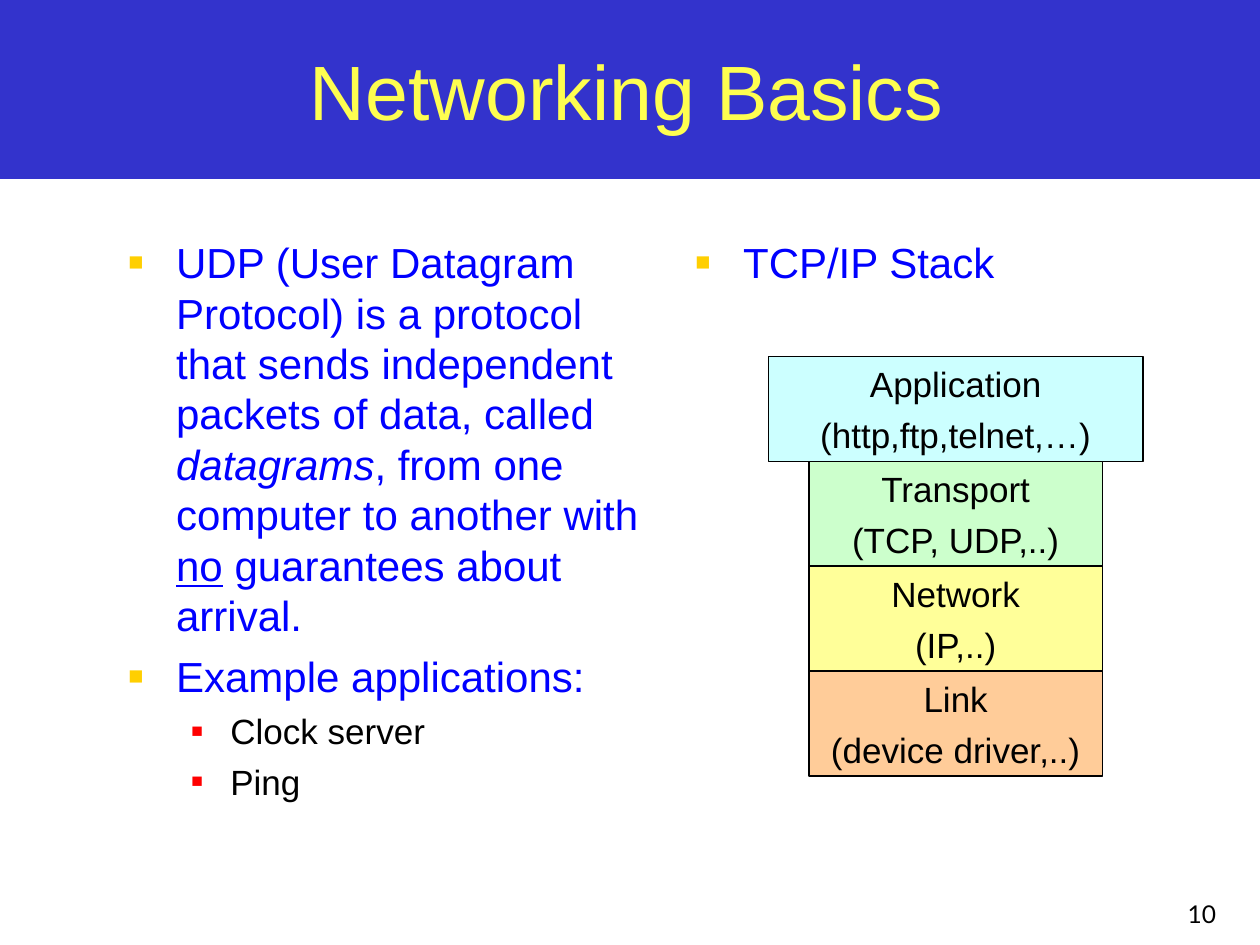
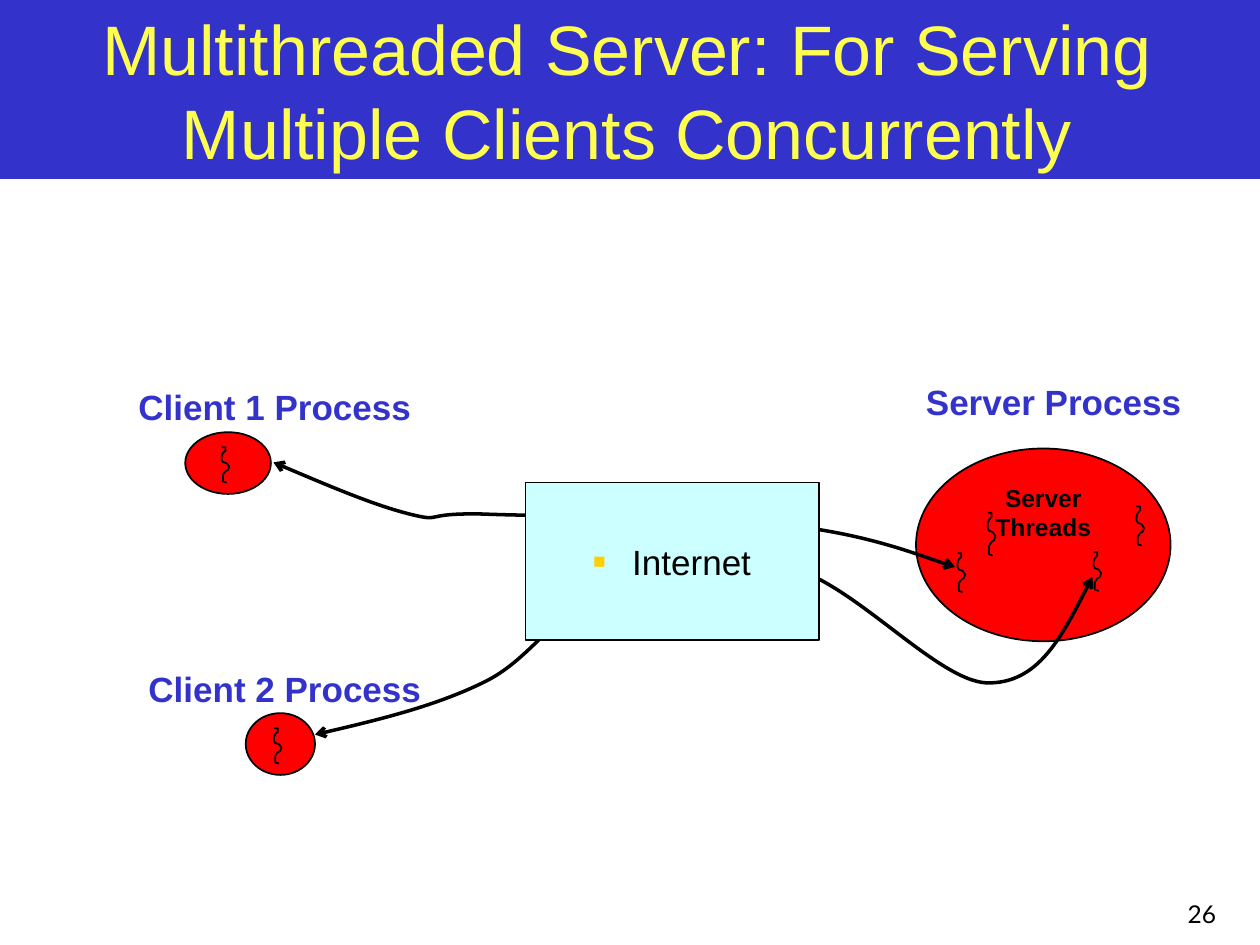
from lxml import etree
from pptx import Presentation
from pptx.dml.color import RGBColor
from pptx.enum import shapes as kinds, text as texts
from pptx.oxml.ns import qn
from pptx.util import Inches, Pt

BLUE = RGBColor(0x33, 0x33, 0xCC)
LEMON = RGBColor(0xFE, 0xFE, 0x50)
TEXT = RGBColor(0x00, 0x00, 0xFF)
BLACK = RGBColor(0x00, 0x00, 0x00)
RED = RGBColor(0xFF, 0x00, 0x00)
GOLD = RGBColor(0xFF, 0xCF, 0x01)
AQUA = RGBColor(0xCC, 0xFF, 0xFF)
MINT = RGBColor(0xCC, 0xFF, 0xCC)
CREAM = RGBColor(0xFF, 0xFF, 0x99)
PEACH = RGBColor(0xFF, 0xCC, 0x99)

RECT = kinds.MSO_SHAPE.RECTANGLE
OVAL = kinds.MSO_SHAPE.OVAL
TOP = texts.MSO_ANCHOR.TOP
MID = texts.MSO_ANCHOR.MIDDLE
LOW = texts.MSO_ANCHOR.BOTTOM
LEFT = texts.PP_ALIGN.LEFT
RIGHT = texts.PP_ALIGN.RIGHT
CENTER = texts.PP_ALIGN.CENTER

LEVELS = [
    dict(margin=0.38, hang=0.38, mark=GOLD, scale=60, size=24, color=TEXT, gap=6),
    dict(margin=0.81, hang=0.31, mark=RED, scale=55, size=20, color=BLACK, gap=5),
]
WAVE = [(0, 0), (3, 0), (3, 3), (1, 5), (0, 8), (0, 11), (1, 13), (4, 14),
        (6, 17), (5, 20), (3, 21), (1, 24), (1, 27), (1, 30), (4, 31)]


def place(box):
    return [Inches(v) for v in box]


def add_run(para, words, size, color, font="Arial", bold=None, italic=None, under=None):
    run = para.add_run()
    run.text = words
    face = run.font
    face.name, face.size, face.color.rgb = font, Pt(size), color
    face.bold, face.italic, face.underline = bold, italic, under


def add_para(frame, first, align=LEFT, gap=0):
    para = frame.paragraphs[0] if first else frame.add_paragraph()
    para.alignment = align
    if gap and not first:
        para.space_before = Pt(gap)
    return para


def set_bullet(para, margin, hang, mark, scale):
    props = para._p.get_or_add_pPr()
    props.set("marL", str(Inches(margin)))
    props.set("indent", str(-Inches(hang)))
    color = etree.SubElement(props, qn("a:buClr"))
    etree.SubElement(color, qn("a:srgbClr"), val=str(mark))
    etree.SubElement(props, qn("a:buSzPct"), val=str(scale * 1000))
    etree.SubElement(props, qn("a:buFont"), typeface="Arial")
    etree.SubElement(props, qn("a:buChar"), char="■")


def add_solid(group, kind, box, fill, line=BLACK):
    shape = group.add_shape(kind, *place(box))
    shape.shadow.inherit = False
    shape.fill.solid()
    shape.fill.fore_color.rgb = fill
    if line is None:
        shape.line.fill.background()
    else:
        shape.line.color.rgb = line
        shape.line.width = Pt(1)
    return shape


def fill_lines(shape, lines, size, anchor=TOP, bold=None, gap=0):
    frame = shape.text_frame
    frame.word_wrap = False
    frame.vertical_anchor = anchor
    for i, words in enumerate(lines):
        add_run(add_para(frame, i == 0, CENTER, gap), words, size, BLACK, bold=bold)


def add_text(slide, box, words, size, color, font="Arial", bold=None, align=LEFT, anchor=TOP):
    frame = slide.shapes.add_textbox(*place(box)).text_frame
    frame.word_wrap = True
    frame.vertical_anchor = anchor
    add_run(add_para(frame, True, align), words, size, color, font, bold)


def add_list(slide, box, items):
    frame = slide.shapes.add_textbox(*place(box)).text_frame
    frame.word_wrap = True
    for i, (level, runs) in enumerate(items):
        look = LEVELS[level]
        para = add_para(frame, i == 0, gap=look["gap"])
        para.level = level
        set_bullet(para, look["margin"], look["hang"], look["mark"], look["scale"])
        for words, style in runs:
            add_run(para, words, look["size"], look["color"], **style)


def add_band(slide, layout):
    band = add_solid(slide.shapes, RECT, (0, 0, 10, 1.42), BLUE, None)
    layout.shapes._spTree.insert(2, band._element)


def add_slide(deck, title, size, number):
    slide = deck.slides.add_slide(deck.slide_layouts[5])
    head = slide.shapes.title
    head.left, head.top, head.width, head.height = place((0.17, 0.17, 9.61, 1.08))
    frame = head.text_frame
    frame.word_wrap = True
    frame.auto_size = texts.MSO_AUTO_SIZE.NONE
    frame.vertical_anchor = MID
    add_run(add_para(frame, True, CENTER), title, size, LEMON)
    add_text(slide, (7.67, 6.92, 2.08, 0.5), number, 14, BLACK, "Lato", align=RIGHT, anchor=LOW)
    return slide


def add_stack(slide, box):
    left, top, width, height = box
    layers = [
        ("Application", "(http,ftp,telnet,…)", AQUA, 0.32),
        ("Transport", "(TCP, UDP,..)", MINT, 0),
        ("Network", "(IP,..)", CREAM, 0),
        ("Link", "(device driver,..)", PEACH, 0),
    ]
    step = height / len(layers)
    for i, (name, sample, fill, extra) in enumerate(layers):
        spot = (left - extra, top + i * step, width + 2 * extra, step)
        fill_lines(add_solid(slide.shapes, RECT, spot, fill), [name, sample], 20, gap=5)


def trace(group, points):
    spots = [place(p) for p in points]
    pen = group.build_freeform(*spots[0])
    pen.add_line_segments(spots[1:], close=False)
    shape = pen.convert_to_shape()
    shape.shadow.inherit = False
    shape.line.color.rgb = BLACK
    return shape


def add_thread(group, left, top, height=0.31):
    scale = height / 31
    shape = trace(group, [(left + x / 100, top + y * scale) for x, y in WAVE])
    shape.fill.solid()
    shape.fill.fore_color.rgb = RED
    shape.line.width = Pt(1)


def add_curve(slide, points):
    shape = trace(slide.shapes, points)
    shape.fill.background()
    shape.line.width = Pt(2)
    steps = list(shape._element.iter(qn("a:lnTo")))
    for i in range(0, len(steps), 3):
        bend = etree.Element(qn("a:cubicBezTo"))
        steps[i].addprevious(bend)
        for step in steps[i:i + 3]:
            bend.append(step[0])
            step.getparent().remove(step)
    line = shape.line._get_or_add_ln()
    for end in ("a:headEnd", "a:tailEnd"):
        etree.SubElement(line, qn(end), type="arrow")


def add_client(slide, box):
    left, top, width, height = box
    group = slide.shapes.add_group_shape().shapes
    add_solid(group, OVAL, box, RED)
    add_thread(group, left + width / 2 - 0.05, top + 0.12, 0.28)


def add_server(slide, box):
    left, top = box[:2]
    fill_lines(add_solid(slide.shapes, OVAL, box, RED), ["Server", "Threads"], 14, bold=True)
    for x, y, height in [(0.33, 0.83, 0.31), (0.57, 0.51, 0.34), (1.41, 0.82, 0.31), (1.75, 0.46, 0.31)]:
        add_thread(slide.shapes, left + x, top + y, height)


def add_cloud(slide, box):
    shape = add_solid(slide.shapes, RECT, box, AQUA)
    set_bullet(shape.text_frame.paragraphs[0], 0.31, 0.31, GOLD, 60)
    fill_lines(shape, ["Internet"], 20, MID)


def build_basics(deck):
    slide = add_slide(deck, "Networking Basics", 44, "10")
    add_band(slide, deck.slide_layouts[5])
    add_list(slide, (0.92, 1.83, 4.33, 4.87), [
        (0, [
            ("UDP (User Datagram Protocol) is a protocol that sends independent packets of data, called ", {}),
            ("datagrams", {"italic": True}),
            (", from one computer to another with ", {}),
            ("no", {"under": True}),
            (" guarantees about arrival.", {}),
        ]),
        (0, [("Example applications:", {})]),
        (1, [("Clock server", {})]),
        (1, [("Ping", {})]),
    ])
    add_list(slide, (5.42, 1.83, 4.33, 4.87), [(0, [("TCP/IP Stack", {})])])
    add_stack(slide, (6.42, 2.83, 2.33, 3.33))


def build_server(deck):
    slide = add_slide(deck, "Multithreaded Server: For Serving Multiple Clients Concurrently", 40, "26")
    add_server(slide, (7.27, 3.56, 2.02, 1.53))
    add_client(slide, (1.47, 3.43, 0.68, 0.49))
    add_client(slide, (1.95, 5.66, 0.55, 0.49))
    labels = [
        ("Server Process", 7.25, 2.97, 2.58),
        ("Client 1 Process", 1, 3.01, 2.5),
        ("Client 2 Process", 1.08, 5.25, 2.37),
    ]
    for words, left, top, width in labels:
        add_text(slide, (left, top, width, 0.43), words, 20, BLUE, bold=True)
    add_curve(slide, [
        (2.17, 3.67), (2.57, 3.84), (2.97, 4.01), (3.25, 4.08),
        (3.53, 4.15), (3.33, 4.07), (3.83, 4.08),
        (4.33, 4.1), (5.63, 4.1), (6.25, 4.17),
        (6.88, 4.24), (7.38, 4.44), (7.58, 4.5),
    ])
    add_curve(slide, [
        (2.5, 5.83), (2.98, 5.72), (3.46, 5.6), (3.83, 5.42),
        (4.21, 5.24), (4.35, 4.9), (4.75, 4.75),
        (5.15, 4.6), (5.74, 4.39), (6.25, 4.5),
        (6.76, 4.61), (7.43, 5.4), (7.83, 5.42),
        (8.24, 5.43), (8.45, 5.01), (8.67, 4.58),
    ])
    add_cloud(slide, (4.17, 3.83, 2.33, 1.25))


def main():
    deck = Presentation()
    deck.slide_width, deck.slide_height = Inches(10), Inches(7.5)
    build_basics(deck)
    build_server(deck)
    deck.save("out.pptx")


if __name__ == "__main__":
    main()
